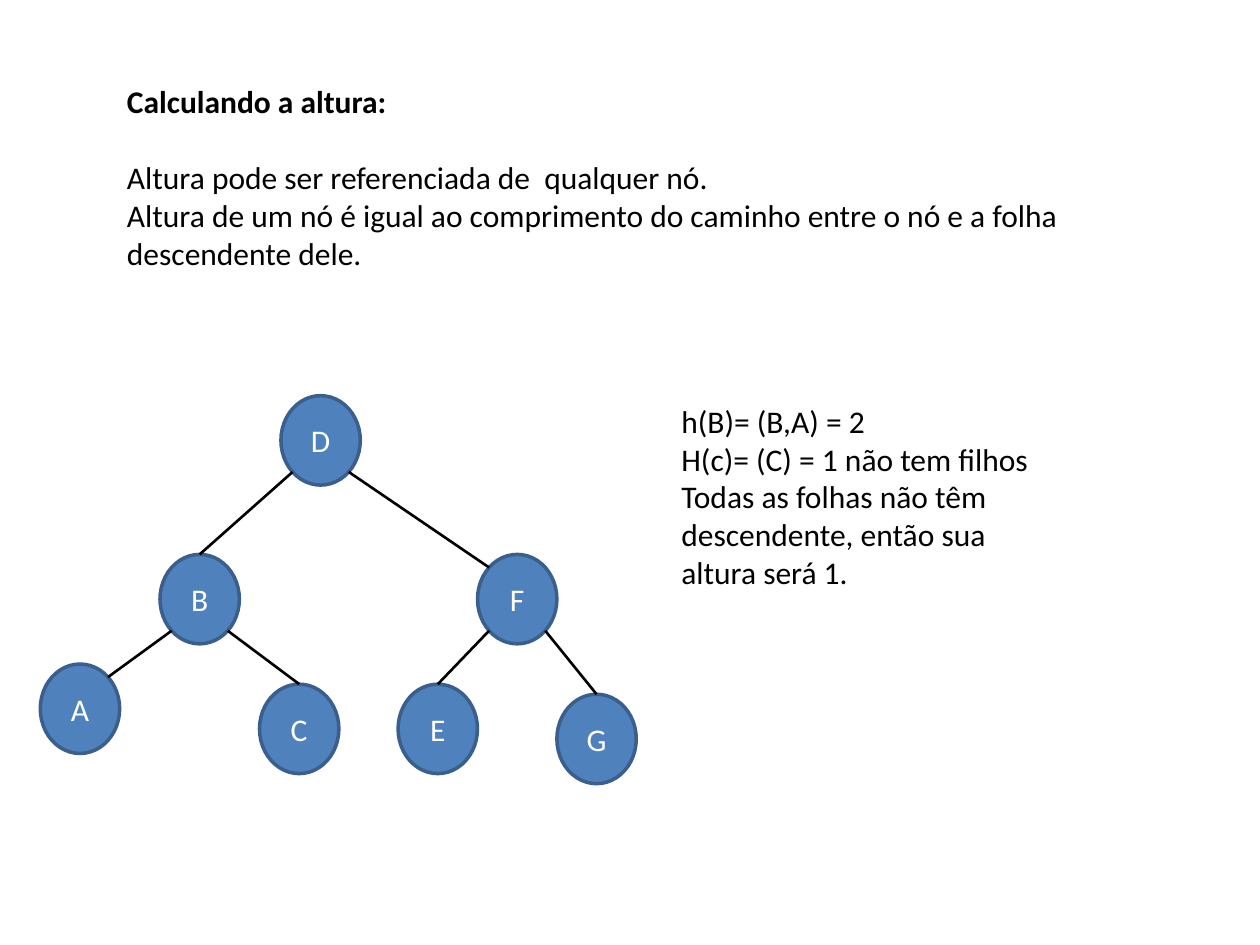
from math import sqrt
from pptx import Presentation
from pptx.dml.color import RGBColor
from pptx.enum.shapes import MSO_CONNECTOR, MSO_SHAPE
from pptx.enum.text import MSO_ANCHOR, MSO_AUTO_SIZE, PP_ALIGN
from pptx.oxml.ns import qn
from pptx.util import Inches, Pt
from lxml.etree import SubElement

HUES = {"node": "4F81BD", "edge": "3A5F8C", "text": "000000", "label": "FFFFFF"}
WIDE, HIGH = 0.63, 0.71


class Board:
    font, size = "Calibri", 18

    def __init__(self, slide):
        self.slide = slide
        self.tree = None
        self.nodes = {}

    def color(self, name):
        return RGBColor.from_string(HUES[name])

    def put(self, para, text, hue, bold=False):
        run = para.add_run()
        run.text = text
        run.font.name = self.font
        run.font.size = Pt(self.size)
        run.font.bold = bold
        run.font.color.rgb = self.color(hue)

    def text(self, left, top, width, height, lines):
        box = self.slide.shapes.add_textbox(*map(Inches, (left, top, width, height)))
        frame = box.text_frame
        frame.word_wrap = True
        frame.auto_size = MSO_AUTO_SIZE.SHAPE_TO_FIT_TEXT
        for i, (line, bold, gap) in enumerate(lines):
            para = frame.add_paragraph() if i else frame.paragraphs[0]
            para.space_after = Pt(gap)
            self.put(para, line, "text", bold)

    def group(self):
        self.tree = self.slide.shapes.add_group_shape().shapes

    def node(self, name, left, top):
        oval = self.tree.add_shape(
            MSO_SHAPE.OVAL, *map(Inches, (left, top, WIDE, HIGH)))
        oval.shadow.inherit = False
        oval.fill.solid()
        oval.fill.fore_color.rgb = self.color("node")
        oval.line.color.rgb = self.color("edge")
        oval.line.width = Pt(2)
        oval.text_frame.vertical_anchor = MSO_ANCHOR.MIDDLE
        para = oval.text_frame.paragraphs[0]
        para.alignment = PP_ALIGN.CENTER
        self.put(para, name, "label")
        self.nodes[name] = oval

    def point(self, name, dx, dy):
        """Point on the rim of a node, in the direction (dx, dy)."""
        oval = self.nodes[name]
        reach = 2 * sqrt(dx * dx + dy * dy)
        return (int(oval.left + oval.width * (0.5 + dx / reach)),
                int(oval.top + oval.height * (0.5 + dy / reach)))

    def link(self, top, low, side, into):
        start, end = self.point(top, side, 1), self.point(low, into, -1)
        line = self.tree.add_connector(MSO_CONNECTOR.STRAIGHT, *start, *end)
        if into == 0:
            line.end_connect(self.nodes[low], 0)
        line.line.color.rgb = self.color("text")
        line.line.width = Pt(1.5)
        SubElement(line._element.spPr, qn("a:effectLst"))


def main():
    deck = Presentation()
    deck.slide_width, deck.slide_height = Inches(10), Inches(7.5)
    board = Board(deck.slides.add_slide(deck.slide_layouts[6]))

    # Heading and definition
    board.text(0.91, 0.6, 8.43, 1.62, [
        ("Calculando a altura:", True, 22),
        ("Altura pode ser referenciada de  qualquer nó.", False, 0),
        ("Altura de um nó é igual ao comprimento do caminho entre o nó "
         "e a folha descendente dele.", False, 0)])

    # Tree nodes
    board.group()
    for name, left, top in [
            ("A", 0.32, 5.27), ("B", 1.27, 4.4), ("C", 2.06, 5.43),
            ("D", 2.23, 3.14), ("F", 3.79, 4.4), ("G", 4.42, 5.51),
            ("E", 3.16, 5.43)]:
        board.node(name, left, top)

    # Tree branches: parent, child, side left, side entered
    for branch in [("D", "B", -1, 0), ("B", "A", -1, 1), ("B", "C", 1, 0),
                   ("D", "F", 1, -1), ("F", "E", -1, 0), ("F", "G", 1, 0)]:
        board.link(*branch)

    # Worked heights
    board.text(5.31, 3.14, 3.23, 1.62, [
        ("h(B)= (B,A) = 2", False, 0),
        ("H(c)= (C) = 1 não tem filhos", False, 0),
        ("Todas as folhas não têm descendente, então sua altura será 1.",
         False, 0)])

    deck.save("out.pptx")


if __name__ == "__main__":
    main()
